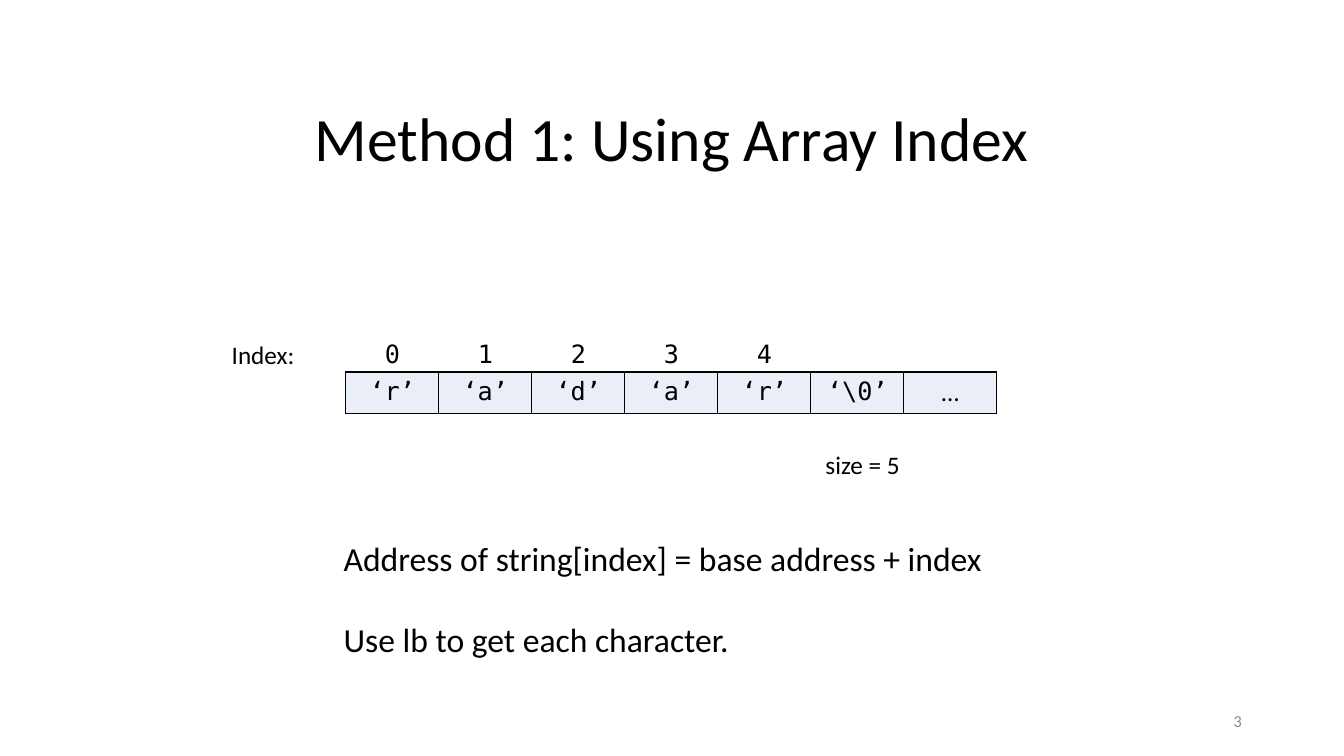
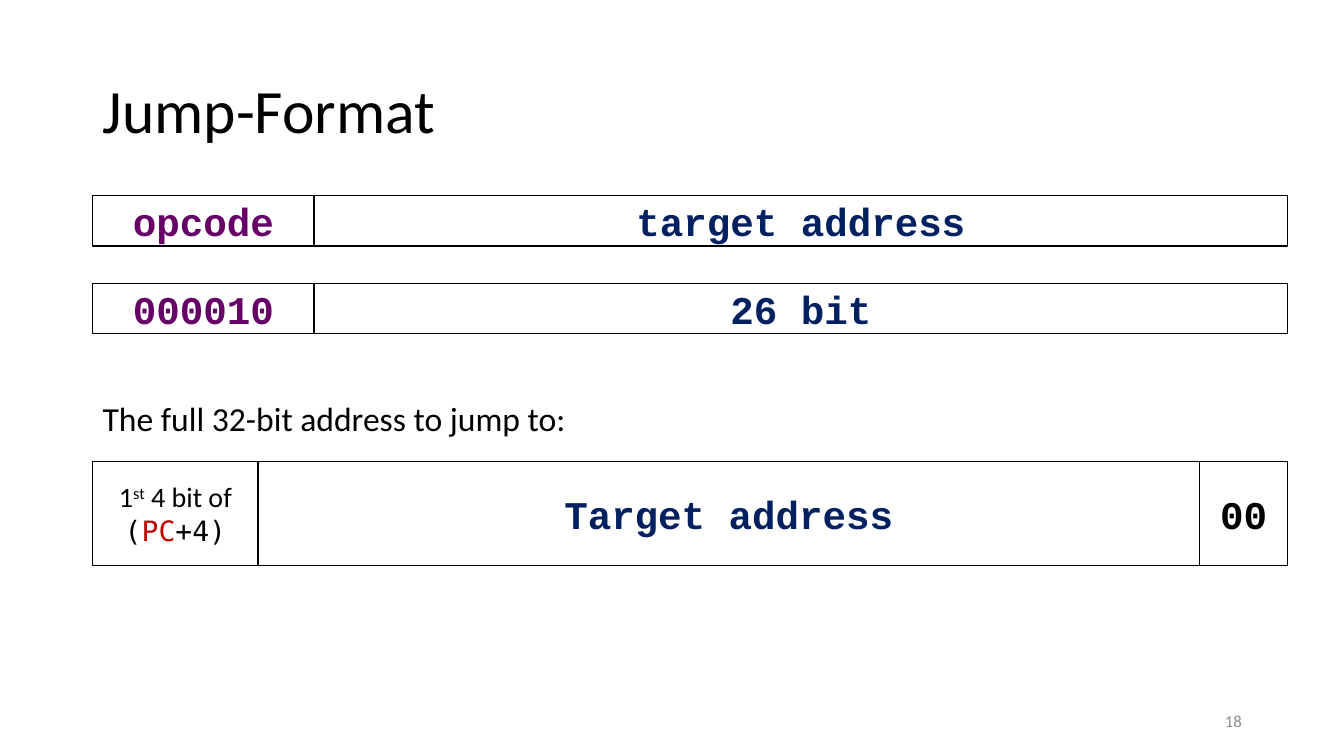
"""Two lecture slides: indexing a string and the jump instruction format."""
import pptx
import pptx.dml.color
import pptx.enum.shapes
import pptx.enum.text
import pptx.oxml
import pptx.oxml.ns
import pptx.util

COLORS = {
    "text": "000000", "number": "8C8C8C", "cell": "EAEFF7", "paper": "FFFFFF",
    "opcode": "660066", "address": "002060", "register": "C00000",
}
BODY, CODE, MONO = "Calibri", "Courier New", "DejaVu Sans Mono"
LEFT, CENTER, RIGHT = (pptx.enum.text.PP_ALIGN.LEFT, pptx.enum.text.PP_ALIGN.CENTER,
                       pptx.enum.text.PP_ALIGN.RIGHT)
TOP, MIDDLE = pptx.enum.text.MSO_ANCHOR.TOP, pptx.enum.text.MSO_ANCHOR.MIDDLE
RECTANGLE = pptx.enum.shapes.MSO_SHAPE.RECTANGLE

deck = pptx.Presentation()
deck.slide_width = pptx.util.Inches(13.33)
deck.slide_height = pptx.util.Inches(7.5)


def share(left, top, width, height):
    """Turn percentages of the slide into lengths."""
    across, down = deck.slide_width / 100, deck.slide_height / 100
    return [round(length) for length in
            (left * across, top * down, width * across, height * down)]


def style(paragraph, size, font=BODY, color="text", bold=False, align=LEFT):
    """Format a paragraph and all its runs."""
    paragraph.alignment = align
    for run in paragraph.runs:
        run.font.size = pptx.util.Pt(size)
        run.font.name = font
        run.font.bold = bold
        run.font.color.rgb = pptx.dml.color.RGBColor.from_string(COLORS[color])


index_slide, jump_slide = [deck.slides.add_slide(deck.slide_layouts[6]) for _ in range(2)]

for slide, title, title_box, title_align, number in [
    (index_slide, "Method 1: Using Array Index", (0, 9.07, 100, 19.33), CENTER, "3"),
    (jump_slide, "Jump-Format", (6.9, 5.33, 86.25, 19.33), LEFT, "18"),
]:
    for text, box, size, color, align, spacing in [
        (title, title_box, 44, "text", title_align, 0.9),
        (number, (70.65, 92.67, 22.5, 5.33), 12, "number", RIGHT, 1.0),
    ]:
        frame = slide.shapes.add_textbox(*share(*box)).text_frame
        frame.word_wrap = True
        frame.vertical_anchor = MIDDLE
        frame.text = text
        frame.paragraphs[0].line_spacing = spacing
        style(frame.paragraphs[0], size, color=color, align=align)

for slide, text, box, size, wrap in [
    (index_slide, "Index:", (16.5, 44.27, 6.23, 5.33), 18, False),
    (index_slide, "size = 5", (60.68, 58.8, 7.13, 5.33), 18, False),
    (index_slide, "Address of string[index] = base address + index\nUse lb to get each character.",
     (24.83, 70.53, 49.44, 17.47), 24, False),
    (jump_slide, "The full 32-bit address to jump to:", (6.9, 52, 87.7, 6.67), 24, True),
]:
    frame = slide.shapes.add_textbox(*share(*box)).text_frame
    frame.word_wrap = wrap
    frame.vertical_anchor = TOP
    frame.text = text
    for paragraph in frame.paragraphs:
        style(paragraph, size)
    for paragraph in frame.paragraphs[1:]:
        paragraph.space_before = pptx.util.Pt(29)

characters = ["‘r’", "‘a’", "‘d’", "‘a’", "‘r’", "‘\\0’", "…"]
indices = ["0", "1", "2", "3", "4", "", ""]
for entries, top, boxed in [(characters, 49.2, True), (indices, 44.27, False)]:
    strip = index_slide.shapes.add_table(
        1, len(entries), *share(25.73, top, 48.45, 5.47)).table
    strip.first_row = strip.horz_banding = False
    for cell, entry in zip(strip.iter_cells(), entries):
        cell.text = entry
        style(cell.text_frame.paragraphs[0], 18, BODY if entry == "…" else MONO, align=CENTER)
        edge_fill = "<a:noFill/>"
        if boxed:
            edge_fill = f'<a:solidFill><a:srgbClr val="{COLORS["text"]}"/></a:solidFill>'
        properties = cell._tc.get_or_add_tcPr()
        for side in ("lnL", "lnR", "lnT", "lnB"):
            properties.append(pptx.oxml.parse_xml(
                f'<a:{side} {pptx.oxml.ns.nsdecls("a")} w="12700">{edge_fill}</a:{side}>'))
        if boxed:
            cell.fill.solid()
            cell.fill.fore_color.rgb = pptx.dml.color.RGBColor.from_string(COLORS["cell"])
        else:
            cell.fill.background()

upper_bits = [("1", BODY, "text"), ("st", BODY, "text"), (" 4 bit of ", BODY, "text"),
              ("(", MONO, "text"), ("PC", MONO, "register"), ("+4)", MONO, "text")]
for top, height, fields in [
    (25.87, 6.67, [("opcode", 16.47, "opcode"), ("target address", 72.44, "address")]),
    (37.47, 6.67, [("000010", 16.47, "opcode"), ("26 bit", 72.44, "address")]),
    (61.07, 13.73, [(upper_bits, 12.3, "text"), ("Target address", 70.05, "address"),
                    ("00", 6.56, "text")]),
]:
    word = jump_slide.shapes.add_group_shape()
    left = 6.9
    for content, width, color in fields:
        field = word.shapes.add_shape(RECTANGLE, *share(left, top, width, height))
        left += width
        field.shadow.inherit = False
        field.fill.solid()
        field.fill.fore_color.rgb = pptx.dml.color.RGBColor.from_string(COLORS["paper"])
        field.line.color.rgb = pptx.dml.color.RGBColor.from_string(COLORS["text"])
        field.line.width = pptx.util.Pt(1)
        field.text_frame.word_wrap = True
        field.text_frame.vertical_anchor = MIDDLE
        paragraph = field.text_frame.paragraphs[0]
        if content is upper_bits:
            for piece, font, piece_color in upper_bits:
                run = paragraph.add_run()
                run.text = piece
            style(paragraph, 20, align=CENTER)
            for run, (piece, font, piece_color) in zip(paragraph.runs, upper_bits):
                run.font.name = font
                run.font.color.rgb = pptx.dml.color.RGBColor.from_string(COLORS[piece_color])
            paragraph.runs[1].font._element.set("baseline", "30000")
        else:
            paragraph.text = content
            style(paragraph, 28, CODE, color, True, CENTER)

deck.save("out.pptx")
